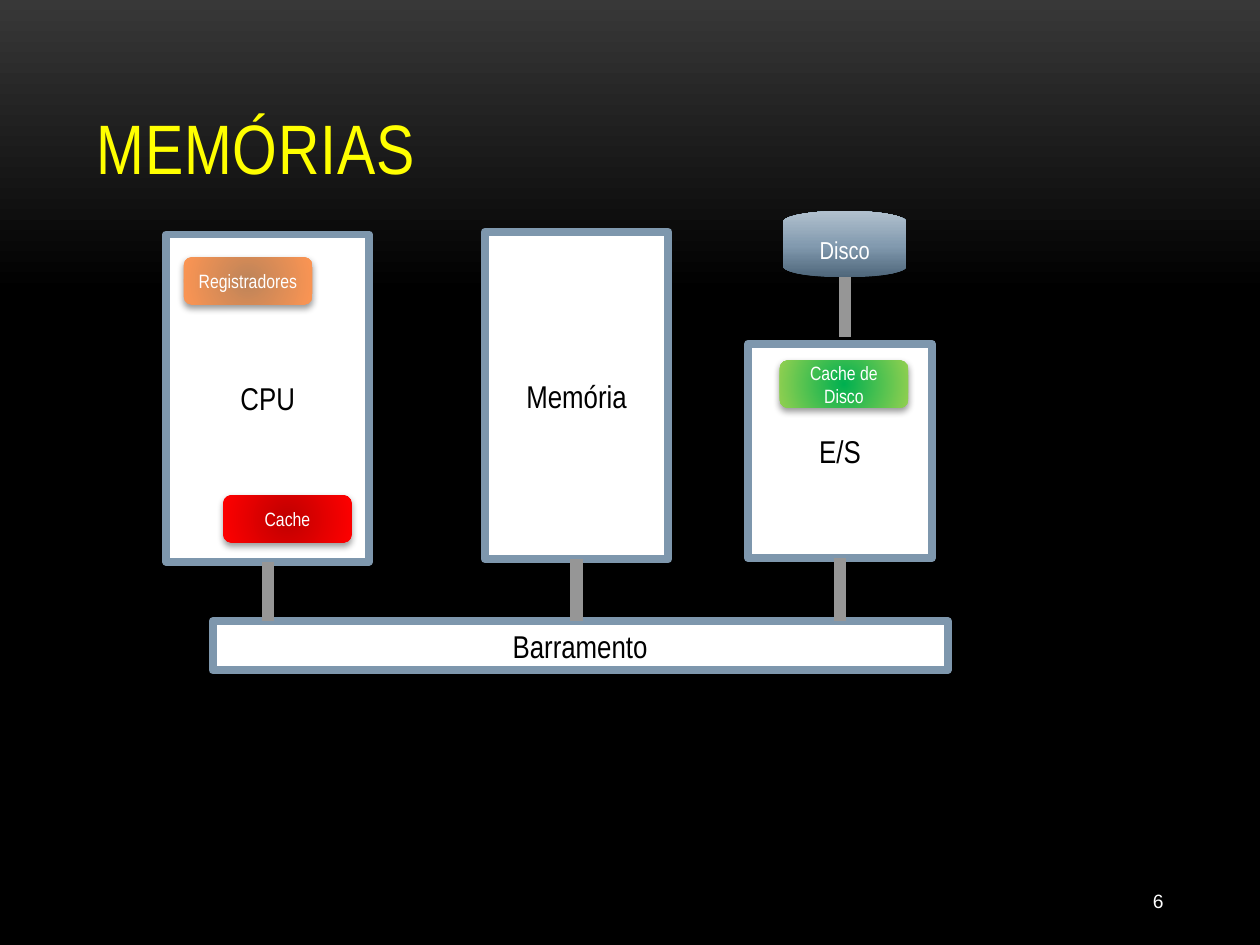
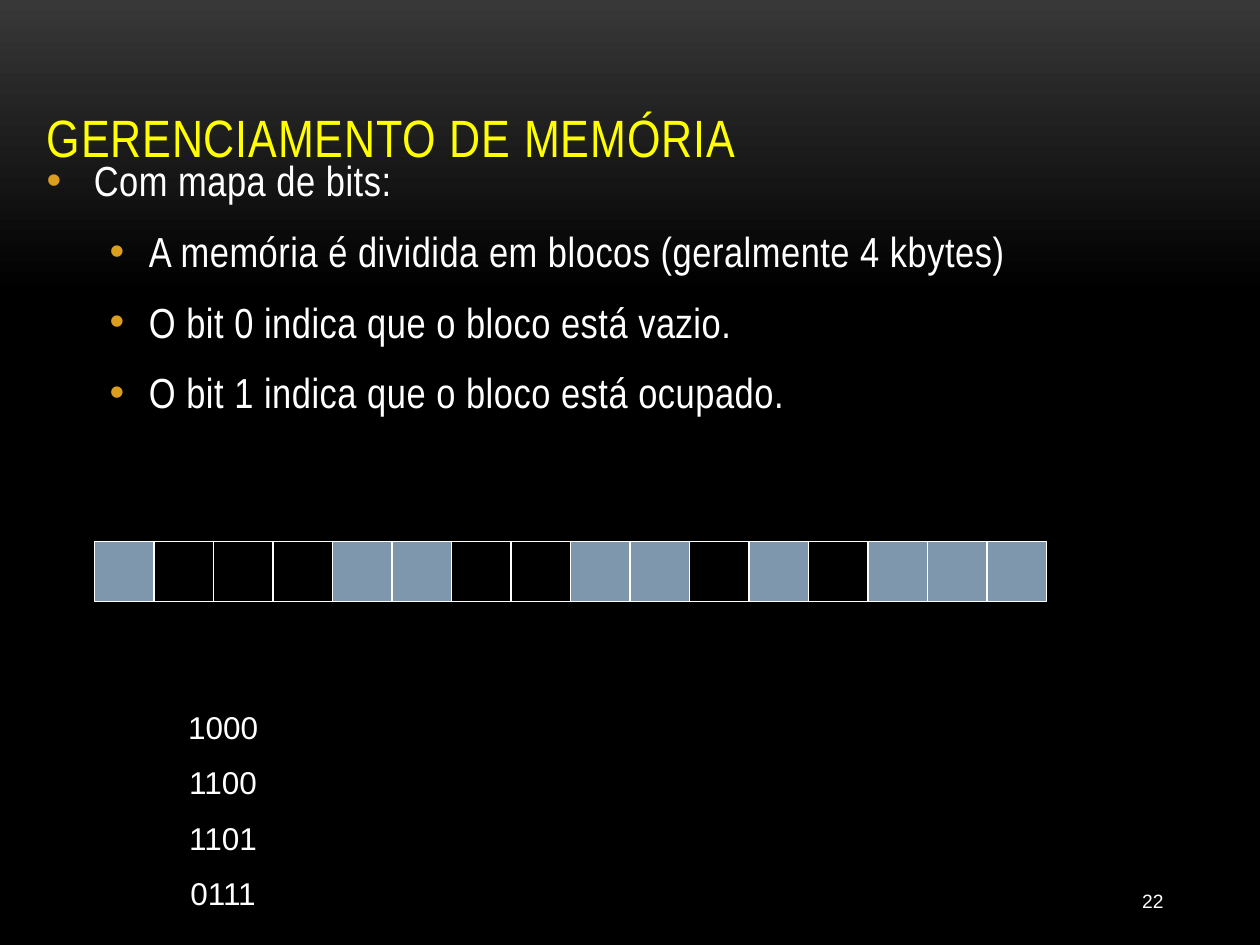
from copy import deepcopy

from lxml import etree
from pptx import Presentation
from pptx import util as u
from pptx.dml.color import RGBColor
from pptx.enum import shapes, text
from pptx.oxml import ns

Pt = u.Pt
WHITE = RGBColor(0xFF, 0xFF, 0xFF)
BLACK = RGBColor(0x00, 0x00, 0x00)
CHARCOAL = RGBColor(0x38, 0x38, 0x38)
YELLOW = RGBColor(0xFF, 0xFF, 0x00)
STEEL = RGBColor(0x7E, 0x97, 0xAD)
GREY = RGBColor(0x96, 0x96, 0x96)
DISK_STOPS = [
    (0, RGBColor(0x4E, 0x66, 0x7A)),
    (0.48, RGBColor(0x82, 0x9A, 0xAF)),
    (1, RGBColor(0xB2, 0xC1, 0xCE)),
]
BROWN, ORANGE = RGBColor(0xBE, 0x84, 0x59), RGBColor(0xFC, 0x95, 0x53)
DARK_RED, RED = RGBColor(0xC0, 0x00, 0x00), RGBColor(0xFF, 0x00, 0x00)
GREEN, LIME = RGBColor(0x00, 0xB0, 0x50), RGBColor(0x92, 0xD0, 0x50)
BULLET_COLOR = "DC9E1F"
NARROW, SANS = "Arial Narrow", "Arial"


def format_text(frame, size, color, font=NARROW, align=None, tracking=0):
    """Format every run of a frame; tracking is in hundredths of a point."""
    for paragraph in frame.paragraphs:
        paragraph.alignment = align
        for run in paragraph.runs:
            run.font.size, run.font.name = Pt(size), font
            run.font.color.rgb = color
            if tracking:
                run._r.get_or_add_rPr().set("spc", str(tracking))


def fill_gradient(fill, element, stops, angle=None):
    """Fill with any number of stops; without an angle, spread from the centre."""
    fill.gradient()
    gradient = next(element.iter(ns.qn("a:gradFill")))
    stop_list = gradient.find(ns.qn("a:gsLst"))
    for _ in stops[2:]:
        stop_list.append(deepcopy(stop_list[0]))
    for stop, (position, color) in zip(fill.gradient_stops, stops):
        stop.position, stop.color.rgb = position, color
    if angle is not None:
        fill.gradient_angle = angle
        return
    linear = gradient.find(ns.qn("a:lin"))
    circle = etree.Element(ns.qn("a:path"), path="circle")
    etree.SubElement(circle, ns.qn("a:fillToRect"), l="50000", t="50000", r="50000", b="50000")
    gradient.replace(linear, circle)


presentation = Presentation()
presentation.slide_width, presentation.slide_height = Pt(720), Pt(540)

# Background, title and page number of each slide
for title_text, size, left, top, width, number in [
    ("MEMÓRIAS", 40, 48, 21.6, 624, "6"),
    ("GERENCIAMENTO DE MEMÓRIA", 30, 19.5, 9.4, 686, "22"),
]:
    slide = presentation.slides.add_slide(presentation.slide_layouts[5])
    fill_gradient(slide.background.fill, slide.element,
                  [(0, CHARCOAL), (0.31, BLACK), (1, BLACK)], 270)
    title = slide.shapes.title
    title.left, title.top, title.width, title.height = Pt(left), Pt(top), Pt(width), Pt(90)
    title.text_frame.text = title_text
    title.text_frame.auto_size = text.MSO_AUTO_SIZE.NONE
    title.text_frame.vertical_anchor = text.MSO_ANCHOR.BOTTOM
    format_text(title.text_frame, size, YELLOW, align=text.PP_ALIGN.LEFT, tracking=50)

    page_number = slide.shapes.add_textbox(Pt(594), Pt(500.4), Pt(78), Pt(28.8))
    page_number.text_frame.text = number
    page_number.text_frame.word_wrap = True
    page_number.text_frame.vertical_anchor = text.MSO_ANCHOR.MIDDLE
    format_text(page_number.text_frame, 11, WHITE, SANS, text.PP_ALIGN.RIGHT)

memory_slide, bitmap_slide = presentation.slides

# Memory diagram: units above the bus
units = []
for label, left, top, width, height in [
    ("CPU", 95, 134, 116, 187),
    ("Memória", 277, 132.5, 105, 187),
    ("E/S", 427.5, 196.5, 105, 122.5),
    ("Barramento", 121.5, 355, 420, 28),
]:
    box = memory_slide.shapes.add_shape(
        shapes.MSO_SHAPE.RECTANGLE, Pt(left), Pt(top), Pt(width), Pt(height))
    box.shadow.inherit = False
    box.fill.solid()
    box.fill.fore_color.rgb = WHITE
    box.line.color.rgb, box.line.width = STEEL, Pt(4.5)
    box.text_frame.text = label
    box.text_frame.word_wrap = False
    format_text(box.text_frame, 18, BLACK, align=text.PP_ALIGN.CENTER)
    units.append(box)
*bus_units, bus = units

disk = memory_slide.shapes.add_shape(
    shapes.MSO_SHAPE.FLOWCHART_MAGNETIC_DISK, Pt(447.5), Pt(120.5), Pt(70.5), Pt(38))
disk.shadow.inherit = False
fill_gradient(disk.fill, disk.element, DISK_STOPS, 90)
disk.line.fill.background()
disk.text_frame.text = "Disco"
format_text(disk.text_frame, 14, WHITE, align=text.PP_ALIGN.CENTER)

# Links: each unit down to the bus, and the disk down to E/S
for upper, end in [(unit, bus.top) for unit in bus_units] + [(disk, Pt(192.5))]:
    center = upper.left + upper.width // 2
    link = memory_slide.shapes.add_connector(
        shapes.MSO_CONNECTOR.STRAIGHT, center, upper.top + upper.height, center, end)
    if upper is not disk:
        link.begin_connect(upper, 2)
    link.line.color.rgb, link.line.width = GREY, Pt(7)
    etree.SubElement(link.element.spPr, ns.qn("a:effectLst"))

for label, left, top, inner, outer in [
    ("Registradores", 105, 147, BROWN, ORANGE),
    ("Cache", 127.5, 283, DARK_RED, RED),
    ("Cache de Disco", 445.5, 206, GREEN, LIME),
]:
    chip = memory_slide.shapes.add_shape(
        shapes.MSO_SHAPE.ROUNDED_RECTANGLE, Pt(left), Pt(top), Pt(73.5), Pt(27))
    chip.shadow.inherit = False
    fill_gradient(chip.fill, chip.element, [(0, inner), (1, outer)])
    chip.line.fill.background()
    effects = chip.element.spPr.find(ns.qn("a:effectLst"))
    shadow = etree.SubElement(effects, ns.qn("a:outerShdw"), blurRad=str(Pt(4)),
                              dist=str(Pt(2)), dir="5400000", rotWithShape="0")
    shadow_color = etree.SubElement(shadow, ns.qn("a:srgbClr"), val="000000")
    etree.SubElement(shadow_color, ns.qn("a:alpha"), val="40000")
    chip.text_frame.text = label
    chip.text_frame.word_wrap = True
    format_text(chip.text_frame, 11, WHITE, align=text.PP_ALIGN.CENTER)

# Bitmap slide: explanation
body = bitmap_slide.shapes.add_textbox(Pt(19.5), Pt(85), Pt(680), Pt(344))
body.text_frame.word_wrap = True
body.text_frame.text = "\n".join([
    "Com mapa de bits:",
    "A memória é dividida em blocos (geralmente 4 kbytes)",
    "O bit 0 indica que o bloco está vazio.",
    "O bit 1 indica que o bloco está ocupado.",
])
for index, paragraph in enumerate(body.text_frame.paragraphs):
    paragraph.level = 1 if index else 0
    margin, indent = (58.5, -22.5) if index else (27, -27)
    properties = paragraph._p.get_or_add_pPr()
    properties.set("marL", str(Pt(margin)))
    properties.set("indent", str(Pt(indent)))
    bullet_color = etree.SubElement(properties, ns.qn("a:buClr"))
    etree.SubElement(bullet_color, ns.qn("a:srgbClr"), val=BULLET_COLOR)
    etree.SubElement(properties, ns.qn("a:buFont"), typeface=SANS)
    etree.SubElement(properties, ns.qn("a:buChar"), char="•")
    paragraph.space_before = Pt(5.5 if index else 0)
    paragraph.space_after = Pt(6)
format_text(body.text_frame, 24, WHITE, tracking=30)

# One block per bit, filled where the bit is 1
BIT_ROWS = ["1000", "1100", "1101", "0111"]
BLOCK = 34
for index, bit in enumerate("".join(BIT_ROWS)):
    block = bitmap_slide.shapes.add_shape(
        shapes.MSO_SHAPE.RECTANGLE, Pt(54 + index * BLOCK), Pt(309.6), Pt(BLOCK), Pt(BLOCK))
    block.shadow.inherit = False
    block.line.color.rgb, block.line.width = WHITE, Pt(0.75)
    if bit == "1":
        block.fill.solid()
        block.fill.fore_color.rgb = STEEL
    else:
        block.fill.background()

bit_map = bitmap_slide.shapes.add_textbox(Pt(82), Pt(401), Pt(91), Pt(127))
bit_map.text_frame.word_wrap = True
bit_map.text_frame.text = "\n".join(BIT_ROWS)
for paragraph in bit_map.text_frame.paragraphs[1:]:
    paragraph.space_before = Pt(10)
format_text(bit_map.text_frame, 18, WHITE, SANS, text.PP_ALIGN.CENTER)

presentation.save("out.pptx")
